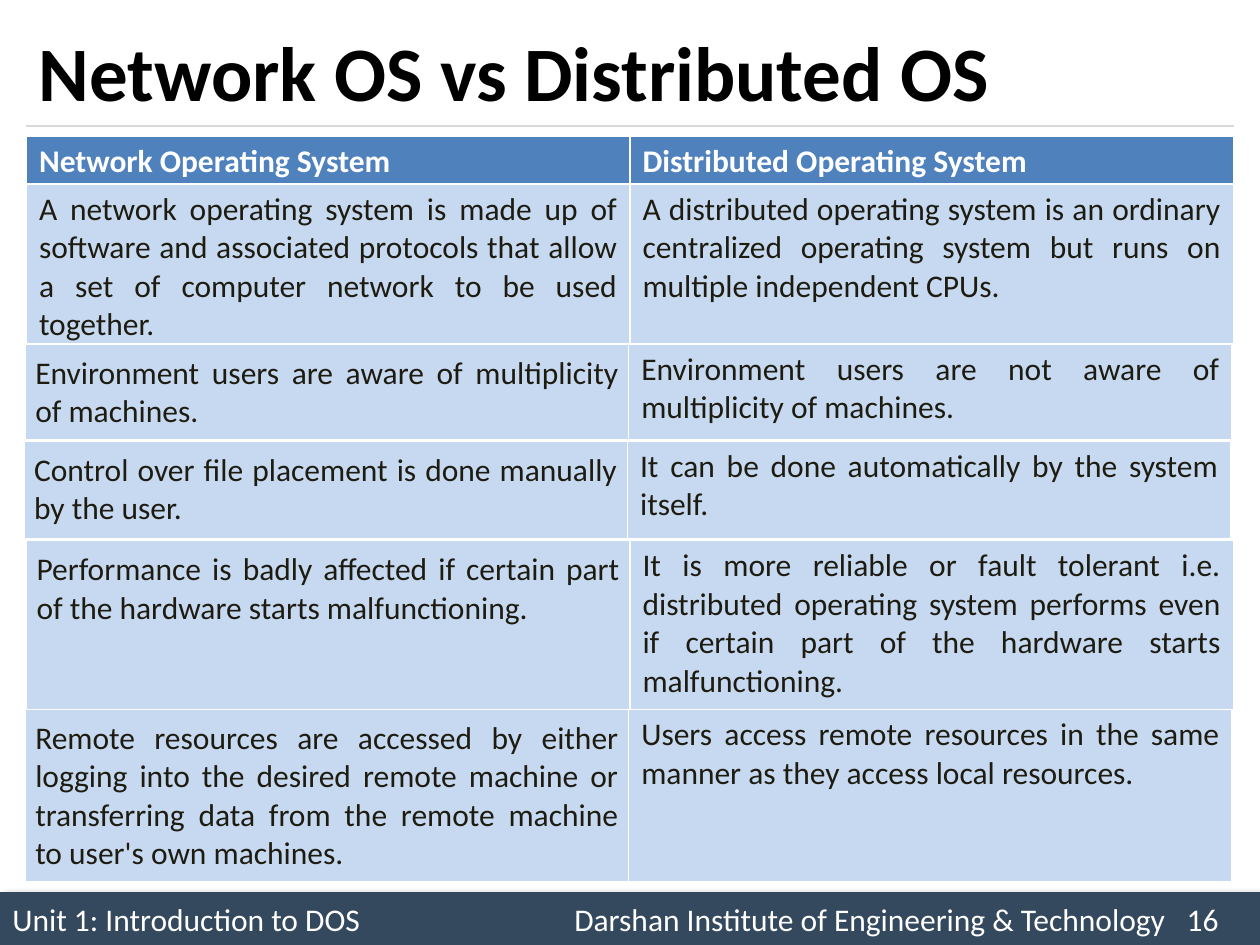
from dataclasses import dataclass

from lxml.etree import SubElement
from pptx import Presentation
from pptx.dml.color import RGBColor as Rgb
from pptx.enum.shapes import MSO_CONNECTOR as Connector, MSO_SHAPE as Shape
from pptx.enum.text import MSO_ANCHOR as Anchor, PP_ALIGN as Align
from pptx.oxml.ns import qn
from pptx.util import Inches, Pt


@dataclass(frozen=True)
class Theme:
    """Colours, font and type sizes of the slide."""
    font: str = "Calibri"
    title_size: int = 44
    body_size: int = 18
    black: str = "000000"
    white: str = "FFFFFF"
    ink: str = "1E1C11"
    header: str = "4F81BD"
    cell: str = "C6D9F1"
    footer: str = "34495E"
    rule: str = "D9D9D9"


THEME = Theme()
COLUMN_WIDTH = 4.79
BORDERS = {"a:lnL": 1, "a:lnR": 1, "a:lnT": 1, "a:lnB": 3}
HEADINGS = ("Network Operating System", "Distributed Operating System")
COMPARISONS = [
    ((0.21, 1.46, 1.3), 0.1,
     ("A network operating system is made up of software and associated protocols "
      "that allow a set of computer network to be used together.",
      "A distributed operating system is an ordinary centralized operating system "
      "but runs on multiple independent CPUs.")),
    ((0.2, 2.73, 0.77), 0.08,
     ("Environment users are aware of multiplicity of machines.",
      "Environment users are not aware of multiplicity of machines.")),
    ((0.19, 3.5, 0.79), 0.08,
     ("Control over file placement is done manually by the user.",
      "It can be done automatically by the system itself.")),
    ((0.21, 4.29, 1.38), 0.08,
     ("Performance is badly affected if certain part of the hardware starts "
      "malfunctioning.",
      "It is more reliable or fault tolerant i.e. distributed operating system "
      "performs even if certain part of the hardware starts malfunctioning.")),
    ((0.2, 5.63, 1.38), 0.08,
     ("Remote resources are accessed by either logging into the desired remote "
      "machine or transferring data from the remote machine to user's own machines.",
      "Users access remote resources in the same manner as they access local "
      "resources.")),
]


def add_span(para, text, size, color, bold=False):
    """Add one styled run to a paragraph."""
    span = para.add_run()
    span.text = text
    span.font.name = THEME.font
    span.font.size = Pt(size)
    span.font.bold = bold
    span.font.color.rgb = Rgb.from_string(color)


def add_shadow(shape):
    """Give a shape a soft black shadow towards the lower right."""
    effects = SubElement(shape._element.spPr, qn("a:effectLst"))
    shadow = SubElement(effects, qn("a:outerShdw"), blurRad=str(Pt(4)),
                        dist=str(Pt(3)), dir="2700000", rotWithShape="0")
    color = SubElement(shadow, qn("a:srgbClr"), val=THEME.black)
    SubElement(color, qn("a:alpha"), val="40000")


def add_footer(page, left, top, width, height):
    """Place the footer band with its three tabbed entries."""
    box = page.shapes.add_shape(Shape.RECTANGLE, Inches(left), Inches(top),
                                Inches(width), Inches(height))
    box.fill.solid()
    box.fill.fore_color.rgb = Rgb.from_string(THEME.footer)
    box.line.fill.background()
    add_shadow(box)
    frame = box.text_frame
    frame.word_wrap = True
    frame.vertical_anchor = Anchor.MIDDLE
    para = frame.paragraphs[0]
    para.alignment = Align.LEFT
    tabs = SubElement(para._p.get_or_add_pPr(), qn("a:tabLst"))
    for position in (4.46, 9.32):
        SubElement(tabs, qn("a:tab"), pos=str(Inches(position)), algn="l")
    add_span(para, "Unit 1: Introduction to DOS\tDarshan Institute of Engineering "
             "& Technology\t16", THEME.body_size, THEME.white)


def add_title(page, left, top, width, height):
    """Place the title and the rule along its lower edge."""
    bottom = Inches(top + height)
    rule = page.shapes.add_connector(Connector.STRAIGHT, Inches(left), bottom,
                                     Inches(left + width), bottom)
    rule.line.color.rgb = Rgb.from_string(THEME.rule)
    rule.line.width = Pt(0.75)
    SubElement(rule._element.spPr, qn("a:effectLst"))
    box = page.shapes.add_textbox(Inches(left), Inches(top), Inches(width), Inches(height))
    box.text_frame.word_wrap = True
    box.text_frame.vertical_anchor = Anchor.MIDDLE
    add_span(box.text_frame.paragraphs[0], "Network OS vs Distributed OS",
             THEME.title_size, THEME.black, True)


def add_borders(cell):
    """Draw white lines on the four sides of a cell."""
    properties = cell._tc.get_or_add_tcPr()
    for tag, width in BORDERS.items():
        line = SubElement(properties, qn(tag), w=str(Pt(width)))
        fill = SubElement(line, qn("a:solidFill"))
        SubElement(fill, qn("a:srgbClr"), val=THEME.white)


def add_pair(page, left, top, height, texts, inset=0.1, heading=False):
    """Place a one-row table that sets two statements side by side."""
    table = page.shapes.add_table(1, len(texts), Inches(left), Inches(top),
                                  Inches(COLUMN_WIDTH * len(texts)), Inches(height)).table
    table.first_row = heading
    table.horz_banding = False
    for cell, column, text in zip(table.rows[0].cells, table.columns, texts):
        column.width = Inches(COLUMN_WIDTH)
        add_borders(cell)
        cell.fill.solid()
        cell.fill.fore_color.rgb = Rgb.from_string(THEME.header if heading else THEME.cell)
        para = cell.text_frame.paragraphs[0]
        para.alignment = Align.LEFT if heading else Align.JUSTIFY
        add_span(para, text, THEME.body_size, THEME.white if heading else THEME.ink, heading)
    first = table.cell(0, 0)
    first.margin_left = first.margin_right = Inches(inset)
    if inset != 0.1:
        first.margin_top = first.margin_bottom = Inches(inset)


def main():
    """Build the comparison slide and save it."""
    deck = Presentation()
    deck.slide_width, deck.slide_height = Inches(10), Inches(7.5)
    page = deck.slides.add_slide(deck.slide_layouts[6])
    add_footer(page, 0, 7.08, 10, 0.42)
    add_title(page, 0.21, 0.12, 9.58, 0.88)
    add_pair(page, 0.21, 1.08, 0.41, HEADINGS, heading=True)
    for place, inset, texts in COMPARISONS:
        add_pair(page, *place, texts, inset)
    deck.save("out.pptx")


if __name__ == "__main__":
    main()
